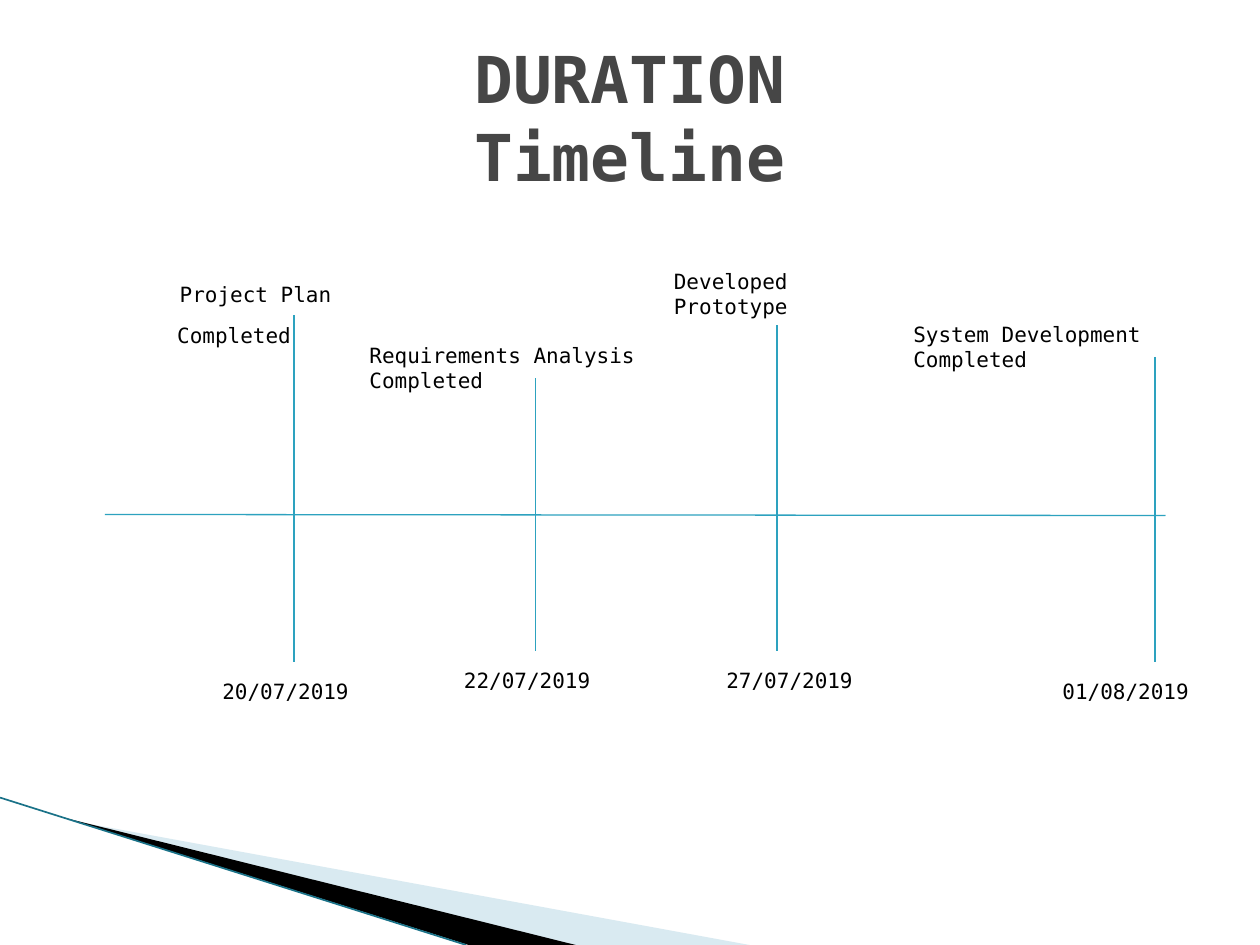
from lxml import etree
from pptx import Presentation
from pptx import util as u
from pptx.dml.color import RGBColor
from pptx.enum import shapes, text
from pptx.oxml.ns import qn

FONT = "DejaVu Sans Mono"
COLUMNS, ROWS = 120, 90
CELL = u.Inches(10) // COLUMNS
ACCENT, INK, HEADING = "2DA2BF", "000000", "464646"
WEDGE, EDGE = "A0CBDC", "1A7288"

MILESTONES = [
    {"date": "20/07/2019", "x": 20, "top": 11, "bottom": 44, "date_at": (12, 45),
     "label": ["Project Plan", "Completed"], "box": (0, 0, 28.6, 12.1),
     "frame": {"margin_top": u.Inches(0.65)},
     "paragraphs": [{"alignment": text.PP_ALIGN.CENTER},
                    {"alignment": text.PP_ALIGN.CENTER, "space_before": u.Pt(9)}],
     "indent": u.Inches(0.34)},
    {"date": "22/07/2019", "x": 43, "top": 17, "bottom": 43, "date_at": (35, 44),
     "label": ["Requirements Analysis\vCompleted"], "box": (26, 13, 35.9, 14.5)},
    {"date": "27/07/2019", "x": 66, "top": 12, "bottom": 43, "date_at": (60, 44),
     "label": ["Developed\vPrototype"], "box": (55, 6, 22.7, 6)},
    {"date": "01/08/2019", "x": 102, "top": 15, "bottom": 44, "date_at": (92, 45),
     "label": ["System Development\vCompleted"], "box": (77.8, 11, 34.2, 14.5)},
]


def color(value):
    return RGBColor.from_string(value)


def apply(target, values):
    for name, value in values.items():
        setattr(target, name, value)


def place(box, x, y):
    return round((box[0] + x) * CELL), round((box[1] + y) * CELL)


def format_font(font, size, value, bold=False):
    apply(font, {"name": FONT, "size": u.Pt(size), "bold": bold})
    font.color.rgb = color(value)


def add_line(slide, start, end, value, width):
    line = slide.shapes.add_connector(shapes.MSO_CONNECTOR.STRAIGHT, *start, *end)
    line.line.color.rgb = color(value)
    line.line.width = u.Pt(width)
    etree.SubElement(line._element.spPr, qn("a:effectLst"))


def add_text(slide, box, area, lines, frame_format=None, paragraph_formats=(), indent=0):
    left, top, width, height = area
    shape = slide.shapes.add_textbox(*place(box, left, top), *place((0, 0), width, height))
    frame = shape.text_frame
    apply(frame, {"word_wrap": True, **(frame_format or {})})
    frame.text = "\n".join(lines)
    for paragraph in frame.paragraphs:
        for run in paragraph.runs:
            format_font(run.font, 12, INK)
    for paragraph, values in zip(frame.paragraphs, paragraph_formats):
        apply(paragraph, values)
    if indent:
        frame.paragraphs[0]._p.get_or_add_pPr().set("marL", str(indent))


def add_wedge(slide, box, points, value, alpha=None):
    scaled = [place(box, x * COLUMNS, y * ROWS) for x, y in points]
    builder = slide.shapes.build_freeform(*scaled[0], scale=1.0)
    builder.add_line_segments(scaled[1:], close=True)
    shape = builder.convert_to_shape()
    shape.shadow.inherit = False
    shape.fill.solid()
    shape.fill.fore_color.rgb = color(value)
    shape.line.fill.background()
    if alpha:
        fill = shape._element.spPr.find(qn("a:solidFill"))
        etree.SubElement(fill[0], qn("a:alpha")).set("val", str(alpha * 1000))


def add_corner(slide, box):
    add_wedge(slide, box, [(0.055, 0.868), (0.595, 1), (0.456, 1)], WEDGE, 40)
    add_wedge(slide, box, [(0.053, 0.866), (0.457, 1), (0.372, 1)], INK)
    start, end = (place(box, x * COLUMNS, y * ROWS) for x, y in [(0, 0.844), (0.37, 1)])
    add_line(slide, start, end, EDGE, 0.95)


def add_title(slide, box):
    title = slide.shapes.title
    left, top, width, height = box
    apply(title, dict(zip(("left", "top", "width", "height"),
                          place((0, 0), left, top) + place((0, 0), width, height))))
    frame = title.text_frame
    frame.text = "DURATION\vTimeline"
    apply(frame, {"vertical_anchor": text.MSO_ANCHOR.MIDDLE, "word_wrap": True,
                  "auto_size": text.MSO_AUTO_SIZE.NONE})
    paragraph = frame.paragraphs[0]
    paragraph.alignment = text.PP_ALIGN.CENTER
    for run in paragraph.runs:
        format_font(run.font, 36.9, HEADING, True)


def add_timeline(slide, box):
    add_line(slide, place(box, 2, 30), place(box, 103, 30.1), ACCENT, 0.75)
    for milestone in MILESTONES:
        x = milestone["x"]
        add_line(slide, place(box, x, milestone["top"]),
                 place(box, x, milestone["bottom"]), ACCENT, 0.75)
        add_text(slide, box, milestone["box"], milestone["label"], milestone.get("frame"),
                 milestone.get("paragraphs", ()), milestone.get("indent", 0))
        add_text(slide, box, (*milestone["date_at"], 16, 3.6), [milestone["date"]])


presentation = Presentation()
apply(presentation, {"slide_width": CELL * COLUMNS, "slide_height": CELL * ROWS})
slide = presentation.slides.add_slide(presentation.slide_layouts[5])
add_corner(slide, (0, 0))
add_title(slide, (6, 3.6, 108, 15))
add_timeline(slide, (8, 19))
presentation.save("out.pptx")
